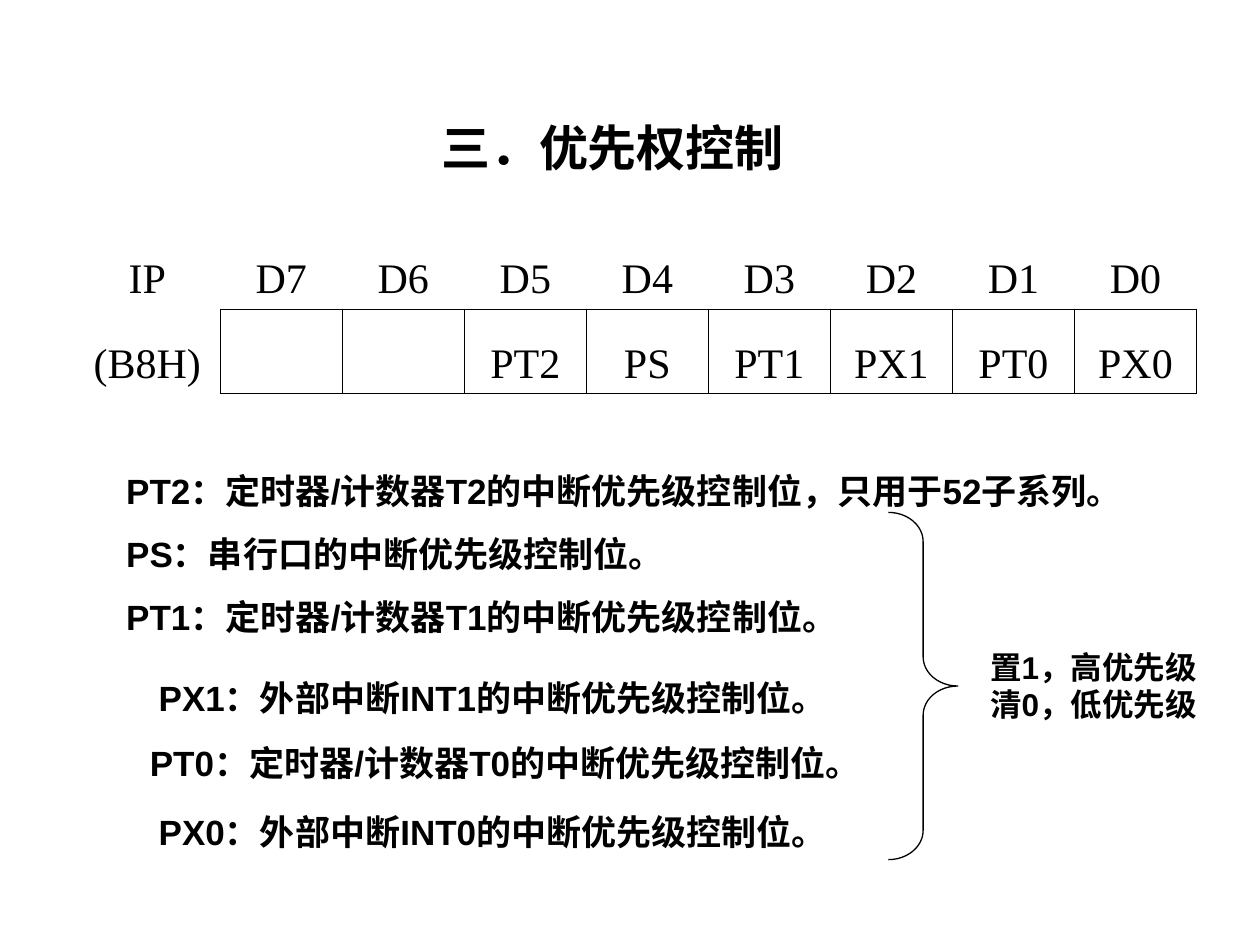
from typing import NamedTuple

import pptx
import pptx.dml.color
import pptx.enum.shapes
import pptx.enum.text
import pptx.util
from lxml import etree
from pptx.oxml.ns import qn

Cm = pptx.util.Cm
Pt = pptx.util.Pt
Anchor = pptx.enum.text.MSO_ANCHOR
Align = pptx.enum.text.PP_ALIGN

BLACK = pptx.dml.color.RGBColor(0, 0, 0)
LABEL_FONT = "Arial"
REGISTER_FONT = "Times New Roman"

REGISTER_ROWS = [
    ["IP"] + [f"D{bit}" for bit in range(7, -1, -1)],
    ["(B8H)", "", "", "PT2", "PS", "PT1", "PX1", "PT0", "PX0"],
]
NAME_WIDTH, BIT_WIDTH, ROW_HEIGHT = Cm(2.94), Cm(2.46), Cm(1.7)


class Label(NamedTuple):
    """Bold text block; place is left, top, width, height in cm."""
    text: str
    place: tuple[float, float, float, float]
    size: int = 20
    spacing: float = 1.0
    anchor: Anchor = Anchor.MIDDLE
    wrap: bool = False


TITLE = Label("三．优先权控制", (8.64, 2.24, 7.42, 1.45), size=28)
UPPER_BITS = Label(
    "PT2：定时器/计数器T2的中断优先级控制位，只用于52子系列。\n"
    "PS：串行口的中断优先级控制位。\n"
    "PT1：定时器/计数器T1的中断优先级控制位。",
    (2.29, 8.92, 21.77, 4.06), spacing=1.5)
FREE_LABELS = [
    Label("PX1：外部中断INT1的中断优先级控制位。", (2.95, 13.51, 14.63, 1.12)),
    Label("PT0：定时器/计数器T0的中断优先级控制位。", (2.77, 14.81, 15.67, 1.12)),
    Label("PX0：外部中断INT0的中断优先级控制位。", (2.95, 16.21, 14.63, 1.12)),
    Label("置1，高优先级\n清0，低优先级", (19.71, 12.93, 5.31, 1.78),
          size=18, anchor=Anchor.TOP, wrap=True),
]


def style_font(font, name: str, size: int, bold: bool) -> None:
    font.name, font.size, font.bold = name, Pt(size), bold
    font.color.rgb = BLACK


def fill_label(shape, label: Label) -> None:
    shape.left, shape.top, shape.width, shape.height = map(Cm, label.place)
    frame = shape.text_frame
    frame.text = label.text
    frame.word_wrap = label.wrap
    frame.auto_size = pptx.enum.text.MSO_AUTO_SIZE.SHAPE_TO_FIT_TEXT
    frame.vertical_anchor = label.anchor
    for paragraph in frame.paragraphs:
        paragraph.alignment = Align.LEFT
        paragraph.line_spacing = label.spacing
        paragraph.space_before = paragraph.space_after = Pt(0)
        properties = paragraph._p.get_or_add_pPr()
        properties.set("marL", "0")
        properties.set("indent", "0")
        etree.SubElement(properties, qn("a:buNone"))
        for run in paragraph.runs:
            style_font(run.font, LABEL_FONT, label.size, bold=True)


def set_borders(cell, drawn: str) -> None:
    """Draw the sides named in drawn (of L, R, T, B) and clear the others."""
    properties = cell._tc.get_or_add_tcPr()
    for side in "LRTB":
        line = etree.SubElement(properties, qn(f"a:ln{side}"), w=str(Pt(0.45)))
        if side in drawn:
            fill = etree.SubElement(line, qn("a:solidFill"))
            etree.SubElement(fill, qn("a:srgbClr"), val=str(BLACK))
        else:
            etree.SubElement(line, qn("a:noFill"))


def add_register(slide) -> None:
    bit_count = len(REGISTER_ROWS[0]) - 1
    table = slide.shapes.add_table(
        len(REGISTER_ROWS), bit_count + 1, Cm(1.5), Cm(4.53),
        NAME_WIDTH + bit_count * BIT_WIDTH, len(REGISTER_ROWS) * ROW_HEIGHT).table
    table.first_row = table.horz_banding = False
    for index, column in enumerate(table.columns):
        column.width = BIT_WIDTH if index else NAME_WIDTH
    for r, texts in enumerate(REGISTER_ROWS):
        table.rows[r].height = ROW_HEIGHT
        for c, text in enumerate(texts):
            cell = table.cell(r, c)
            cell.text = text
            cell.vertical_anchor = Anchor.BOTTOM
            # Only the bit cells of the lower row are boxed
            if r:
                set_borders(cell, "LRTB" if c else "R")
            else:
                set_borders(cell, "B" if c else "")
            cell.fill.background()
            paragraph = cell.text_frame.paragraphs[0]
            paragraph.alignment = Align.CENTER
            style_font(paragraph.font, REGISTER_FONT, 24, bold=False)
            for run in paragraph.runs:
                style_font(run.font, REGISTER_FONT, 24, bold=False)


def add_brace(slide) -> None:
    brace = slide.shapes.add_shape(
        pptx.enum.shapes.MSO_SHAPE.RIGHT_BRACE, Cm(17.91), Cm(10.33), Cm(1.4), Cm(7))
    brace.adjustments[0] = 0.42
    brace.shadow.inherit = False
    brace.fill.background()
    brace.line.color.rgb = BLACK
    brace.line.width = Pt(0.75)


def main() -> None:
    deck = pptx.Presentation()
    deck.slide_width, deck.slide_height = Cm(25.4), Cm(19.05)
    slide = deck.slides.add_slide(deck.slide_layouts[1])

    # Title and register layout
    fill_label(slide.shapes.title, TITLE)
    add_register(slide)

    # Meaning of each bit
    fill_label(slide.placeholders[1], UPPER_BITS)
    for label in FREE_LABELS:
        fill_label(slide.shapes.add_textbox(*map(Cm, label.place)), label)

    # Brace towards the priority values
    add_brace(slide)
    deck.save("out.pptx")


if __name__ == "__main__":
    main()
